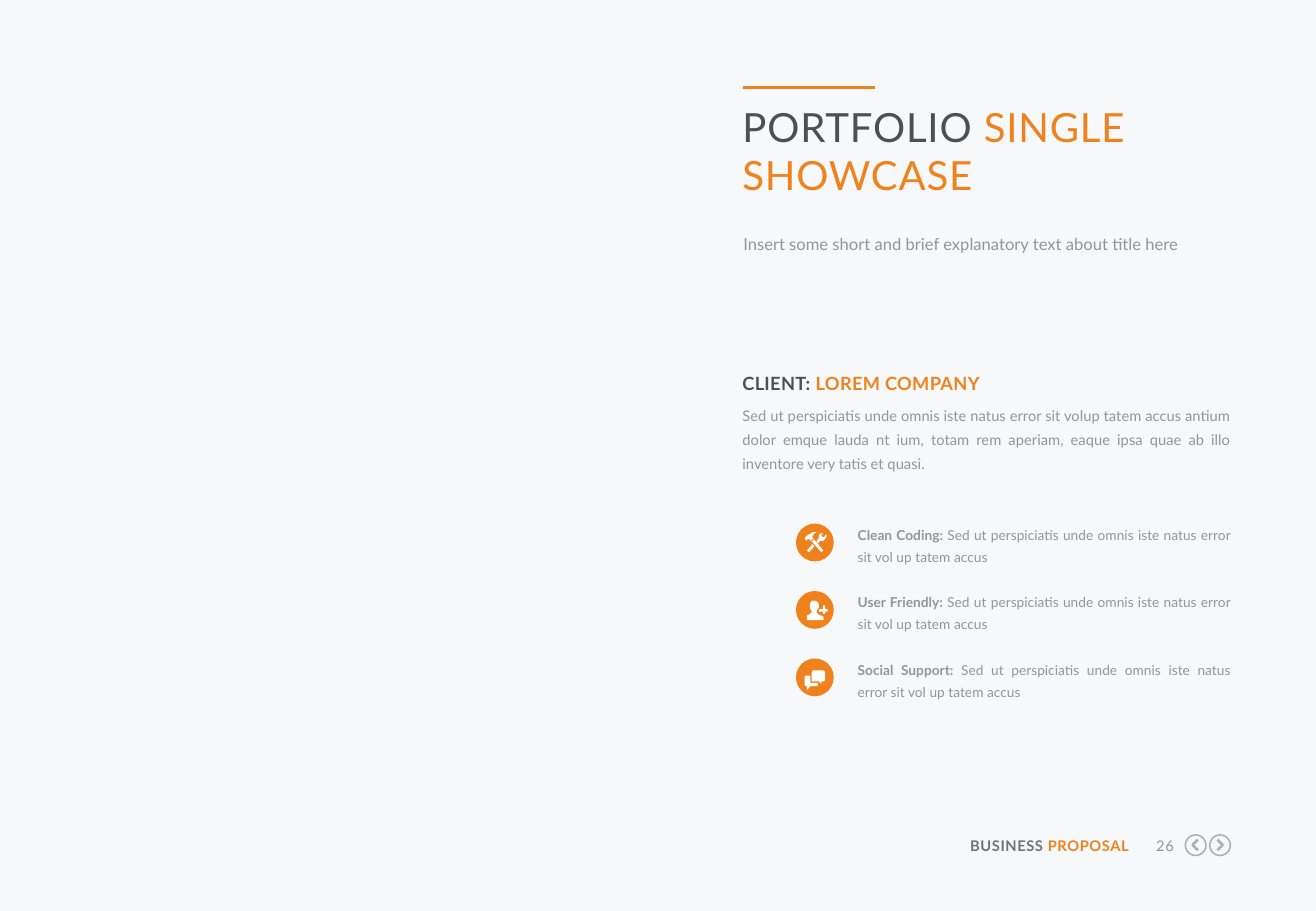
from dataclasses import dataclass

from pptx import Presentation
from pptx.dml.color import RGBColor
from pptx.enum.shapes import MSO_CONNECTOR as Connector, MSO_SHAPE as Shape
from pptx.enum.text import MSO_ANCHOR as Anchor, MSO_AUTO_SIZE as AutoSize, PP_ALIGN as Align
from pptx.oxml.ns import qn
from pptx.util import Cm, Pt
from lxml.etree import SubElement


@dataclass(frozen=True)
class Theme:
    font: str = "Lato"
    background: str = "F6F8FA"
    accent: str = "F0821E"
    dark: str = "4B5050"
    footer: str = "6E7378"
    grey: str = "91969B"
    button: str = "AAAFB4"
    white: str = "FFFFFF"
    title_size: float = 23.8
    subtitle_size: float = 9.8
    client_size: float = 10.8
    body_size: float = 8.7
    feature_size: float = 8.1


THEME = Theme()
UNIT = Cm(0.01)
COLUMN_LEFT = 15.52
COLUMN_WIDTH = 10.21
FEATURE_TOP = 10.9
FEATURE_STEP = 1.41
BADGE_SIZE = 0.79

TOOLS = [
    [(18, 30), (23, 25), (28, 22), (35, 18), (43, 18), (37, 22), (34, 27),
     (36, 31), (31, 36), (28, 32), (24, 33), (22, 36)],
    [(38, 33), (33, 37), (53, 60), (57, 56)],
    [(63, 22), (59, 28), (55, 28), (53, 24), (56, 20), (50, 21), (48, 25),
     (48, 30), (43, 36), (46, 41), (51, 36), (57, 36), (62, 31), (64, 26)],
    [(23, 56), (27, 60), (38, 48), (35, 43)],
]
USER = [
    [(23, 61), (23, 51), (26, 50), (33, 45), (33, 42), (30, 38), (29, 33),
     (30, 25), (33, 21), (38, 20), (43, 21), (47, 25), (48, 33), (45, 38),
     (43, 43), (45, 47), (51, 51), (57, 53), (58, 61)],
    [(56, 30), (61, 30), (61, 38), (66, 38), (66, 43), (61, 43), (61, 48),
     (56, 48), (56, 43), (48, 43), (48, 38), (56, 38)],
]
CHAT = [
    [(18, 38), (20, 36), (30, 36), (30, 51), (46, 51), (46, 55), (44, 58),
     (30, 58), (23, 66), (23, 58), (20, 58), (18, 55)],
    [(33, 30), (35, 25), (57, 25), (61, 28), (61, 45), (58, 48), (53, 48),
     (53, 53), (48, 48), (33, 48)],
]
FEATURES = [("Clean Coding: ", TOOLS), ("User Friendly: ", USER), ("Social Support: ", CHAT)]
FEATURE_TEXT = "Sed ut perspiciatis unde omnis iste natus error sit vol up tatem accus"
DESCRIPTION = (
    "Sed ut perspiciatis unde omnis iste natus error sit volup tatem accus antium "
    "dolor emque lauda nt ium, totam rem aperiam, eaque ipsa quae ab illo "
    "inventore very tatis et quasi."
)


def rgb(value):
    return RGBColor.from_string(value)


def write(box, spans, size, align=Align.LEFT, leading=None, spacing=0):
    frame = box.text_frame
    frame.word_wrap = True
    frame.auto_size = AutoSize.NONE
    frame.vertical_anchor = Anchor.TOP
    frame.margin_left = frame.margin_right = frame.margin_top = frame.margin_bottom = 0
    para = frame.paragraphs[0]
    para.alignment = align
    if leading:
        para.line_spacing = Pt(leading)
    for text, color, bold in spans:
        span = para.add_run()
        span.text = text
        span.font.name = THEME.font
        span.font.size = Pt(size)
        span.font.bold = bold
        span.font.color.rgb = rgb(color)
        if spacing:
            span._r.get_or_add_rPr().set("spc", str(round(spacing * 100)))


def add_text(page, left, top, width, height, spans, size, **style):
    box = page.shapes.add_textbox(Cm(left), Cm(top), Cm(width), Cm(height))
    write(box, spans, size, **style)


def set_title(page, spans):
    title = page.shapes.title
    title.left, title.top = Cm(COLUMN_LEFT), Cm(2.13)
    title.width, title.height = Cm(COLUMN_WIDTH), Cm(2.34)
    write(title, spans, THEME.title_size, spacing=0.5)


def add_rule(page, left, top, width):
    rule = page.shapes.add_connector(
        Connector.STRAIGHT, Cm(left), Cm(top), Cm(left + width), Cm(top))
    rule.line.color.rgb = rgb(THEME.accent)
    rule.line.width = Pt(2.25)
    SubElement(rule._element.spPr, qn("a:effectLst"))


def paint(shape, fill=None, line=None, width=0.9):
    shape.shadow.inherit = False
    if fill:
        shape.fill.solid()
        shape.fill.fore_color.rgb = rgb(fill)
    else:
        shape.fill.background()
    if line:
        shape.line.color.rgb = rgb(line)
        shape.line.width = Pt(width)
    else:
        shape.line.fill.background()


def add_outline(shapes, left, top, outlines, close=True):
    builder = shapes.build_freeform(*outlines[0][0], scale=UNIT)
    for index, points in enumerate(outlines):
        if index:
            builder.move_to(*points[0])
        builder.add_line_segments(points[1:], close=close)
    return builder.convert_to_shape(Cm(left), Cm(top))


def add_circle(shapes, left, top, size):
    return shapes.add_shape(Shape.OVAL, Cm(left), Cm(top), Cm(size), Cm(size))


def add_badge(page, left, top, icon):
    group = page.shapes.add_group_shape()
    paint(add_circle(group.shapes, left, top, BADGE_SIZE), fill=THEME.accent)
    paint(add_outline(group.shapes, left, top, icon), fill=THEME.white)


def add_feature(page, index, heading, icon):
    top = FEATURE_TOP + index * FEATURE_STEP
    add_badge(page, 16.64, top + 0.05, icon)
    spans = [(heading, THEME.grey, True), (FEATURE_TEXT, THEME.grey, False)]
    add_text(page, 17.93, top, 7.8, 0.91, spans, THEME.feature_size,
             align=Align.JUSTIFY, leading=13)


def add_arrow_button(page, left, top, direction):
    group = page.shapes.add_group_shape()
    paint(add_circle(group.shapes, left, top, 0.43), line=THEME.button)
    chevron = [(21 + direction * x, 21 + y) for x, y in [(-5, -11), (6, 0), (-5, 11)]]
    paint(add_outline(group.shapes, left, top, [chevron], close=False),
          line=THEME.button, width=1.5)


def add_footer(page):
    spans = [("BUSINESS ", THEME.footer, True), ("PROPOSAL", THEME.accent, True)]
    style = dict(size=THEME.body_size, align=Align.RIGHT, spacing=0.3)
    add_text(page, 20.12, 17.5, 3.48, 0.38, spans, **style)
    add_text(page, 23.9, 17.5, 0.64, 0.38, [("26", THEME.grey, False)], **style)
    add_arrow_button(page, 24.78, 17.46, -1)
    add_arrow_button(page, 25.29, 17.46, 1)


def main():
    deck = Presentation()
    deck.slide_width, deck.slide_height = Cm(27.51), Cm(19.05)
    page = deck.slides.add_slide(deck.slide_layouts[5])
    page.background.fill.solid()
    page.background.fill.fore_color.rgb = rgb(THEME.background)

    add_rule(page, 15.54, 1.83, 2.75)
    set_title(page, [("PORTFOLIO ", THEME.dark, False), ("SINGLE SHOWCASE", THEME.accent, False)])
    add_text(page, 15.54, 4.85, COLUMN_WIDTH, 0.53,
             [("Insert some short and brief explanatory text about title here", THEME.grey, False)],
             THEME.subtitle_size, leading=13)
    add_text(page, COLUMN_LEFT, 7.59, COLUMN_WIDTH, 0.64,
             [("CLIENT: ", THEME.dark, True), ("LOREM COMPANY", THEME.accent, True)],
             THEME.client_size, leading=18.4, spacing=0.2)
    add_text(page, COLUMN_LEFT, 8.38, COLUMN_WIDTH, 1.5, [(DESCRIPTION, THEME.grey, False)],
             THEME.body_size, align=Align.JUSTIFY, leading=14.1)
    for index, (heading, icon) in enumerate(FEATURES):
        add_feature(page, index, heading, icon)
    add_footer(page)
    deck.save("out.pptx")


if __name__ == "__main__":
    main()
